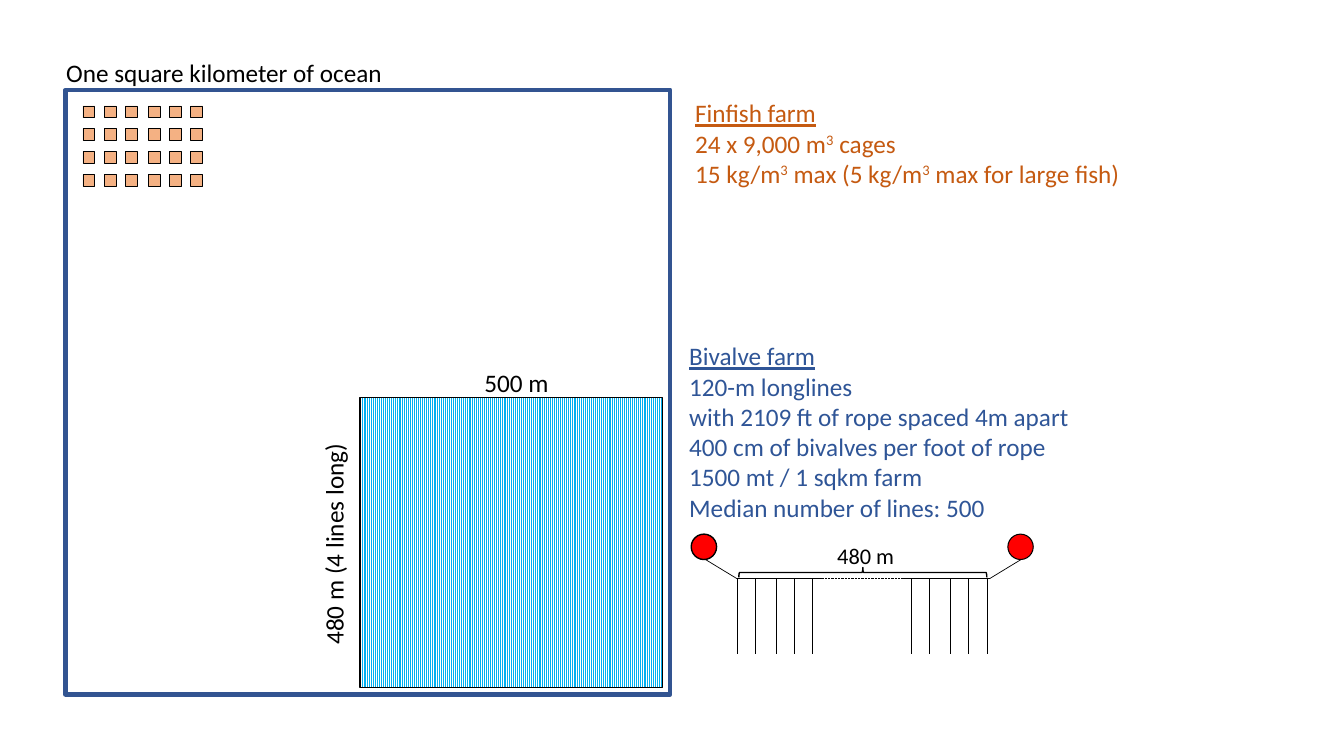
from dataclasses import dataclass
from itertools import product

from lxml.etree import SubElement
from pptx import Presentation
from pptx.dml.color import RGBColor
from pptx.enum.dml import MSO_LINE, MSO_PATTERN
from pptx.enum.shapes import MSO_CONNECTOR, MSO_SHAPE
from pptx.enum.text import MSO_AUTO_SIZE
from pptx.oxml.ns import qn
from pptx.util import Cm, Pt


@dataclass(frozen=True)
class Theme:
    font: str = "Calibri"
    body_size: int = 18
    label_size: int = 16
    black: str = "000000"
    white: str = "FFFFFF"
    ocean_border: str = "325491"
    cage: str = "F4B183"
    finfish: str = "C55A11"
    bivalve: str = "2F5597"
    longline: str = "00B0F0"
    buoy: str = "FF0000"


THEME = Theme()


def color(value):
    return RGBColor.from_string(value)


def add_box(slide, kind, left, top, width, height, fill=None,
            line=THEME.black, weight=1.0, rotation=0):
    shape = slide.shapes.add_shape(kind, Cm(left), Cm(top), Cm(width), Cm(height))
    shape.shadow.inherit = False
    shape.rotation = rotation
    if fill:
        shape.fill.solid()
        shape.fill.fore_color.rgb = color(fill)
    else:
        shape.fill.background()
    shape.line.color.rgb = color(line)
    shape.line.width = Pt(weight)
    return shape


def add_line(slide, start, end, dash=None):
    x1, y1, x2, y2 = (Cm(value) for value in (*start, *end))
    connector = slide.shapes.add_connector(MSO_CONNECTOR.STRAIGHT, x1, y1, x2, y2)
    connector.line.color.rgb = color(THEME.black)
    connector.line.width = Pt(0.5)
    if dash:
        connector.line.dash_style = dash
    SubElement(connector._element.spPr, qn("a:effectLst"))


def add_text(slide, left, top, width, height, lines, size=THEME.body_size,
             text_color=THEME.black, heading=False, wrap=False, rotation=0):
    """Write lines of text; a part between two carets is superscript."""
    box = slide.shapes.add_textbox(Cm(left), Cm(top), Cm(width), Cm(height))
    box.rotation = rotation
    frame = box.text_frame
    frame.word_wrap = wrap
    frame.auto_size = MSO_AUTO_SIZE.SHAPE_TO_FIT_TEXT
    for row, line in enumerate(lines):
        paragraph = frame.add_paragraph() if row else frame.paragraphs[0]
        for index, part in enumerate(line.split("^")):
            run = paragraph.add_run()
            run.text = part
            run.font.name = THEME.font
            run.font.size = Pt(size)
            run.font.color.rgb = color(text_color)
            if heading and row == 0:
                run.font.underline = True
            if index % 2:
                run._r.get_or_add_rPr().set("baseline", "30000")


def add_cages(slide):
    """Four rows of cages, each with two groups of three."""
    for row, group, column in product(range(4), range(2), range(3)):
        add_box(slide, MSO_SHAPE.RECTANGLE, 2.09 + 1.65 * group + 0.535 * column,
                2.67 + 0.577 * row, 0.3, 0.3, THEME.cage, weight=0.5)


def add_bivalve_plot(slide):
    plot = add_box(slide, MSO_SHAPE.RECTANGLE, 9.22, 9.86, 7.32, 7.62, rotation=270)
    plot.fill.patterned()
    plot.fill.pattern = MSO_PATTERN.LIGHT_VERTICAL
    plot.fill.fore_color.rgb = color(THEME.longline)
    plot.fill.back_color.rgb = color(THEME.white)
    add_text(slide, 5.59, 13.16, 5.64, 1.02, ["480 m (4 lines long)"], rotation=270)
    add_text(slide, 11.96, 9.12, 2.16, 1.02, ["500 m"])


def add_longline(slide):
    """One longline between two buoys, with its hanging ropes."""
    left, right, top, bottom = 18.57, 24.94, 14.58, 16.48
    for buoy_left, weight in ((17.42, 1), (25.4, 0.75)):
        add_box(slide, MSO_SHAPE.OVAL, buoy_left, 13.46, 0.64, 0.64,
                THEME.buoy, weight=weight)
    add_line(slide, (left, top), (20.75, top))
    add_line(slide, (20.57, top), (22.76, top), MSO_LINE.ROUND_DOT)
    add_line(slide, (22.76, top), (right, top))
    add_line(slide, (right, top), (25.73, 14.1))
    add_line(slide, (left, top), (17.78, 14.1))
    for start, offset in product((left, 22.96), (0, 0.46, 0.99, 1.45, 1.91)):
        add_line(slide, (start + offset, top), (start + offset, bottom))
    add_text(slide, 20.85, 13.54, 1.96, 0.94, ["480 m"], THEME.label_size)
    add_box(slide, MSO_SHAPE.RIGHT_BRACE, 21.62, 11.3, 0.25, 6.25, rotation=270)


def main():
    presentation = Presentation()
    presentation.slide_width, presentation.slide_height = Cm(33.87), Cm(19.05)
    slide = presentation.slides.add_slide(presentation.slide_layouts[6])

    add_box(slide, MSO_SHAPE.RECTANGLE, 1.65, 2.26, 15.24, 15.24,
            line=THEME.ocean_border, weight=3)
    add_cages(slide)
    add_text(slide, 1.42, 1.32, 8.56, 1.02, ["One square kilometer of ocean"])
    add_bivalve_plot(slide)
    add_text(slide, 17.27, 2.34, 11.38, 2.57, [
        "Finfish farm",
        "24 x 9,000 m^3^ cages",
        "15 kg/m^3^ max (5 kg/m^3^ max for large fish)",
    ], text_color=THEME.finfish, heading=True)
    add_text(slide, 17.12, 8.46, 10.19, 5.64, [
        "Bivalve farm",
        "120-m longlines",
        "with 2109 ft of rope spaced 4m apart",
        "400 cm of bivalves per foot of rope",
        "1500 mt / 1 sqkm farm",
        "Median number of lines: 500",
    ], text_color=THEME.bivalve, heading=True, wrap=True)
    add_longline(slide)
    presentation.save("out.pptx")


if __name__ == "__main__":
    main()
